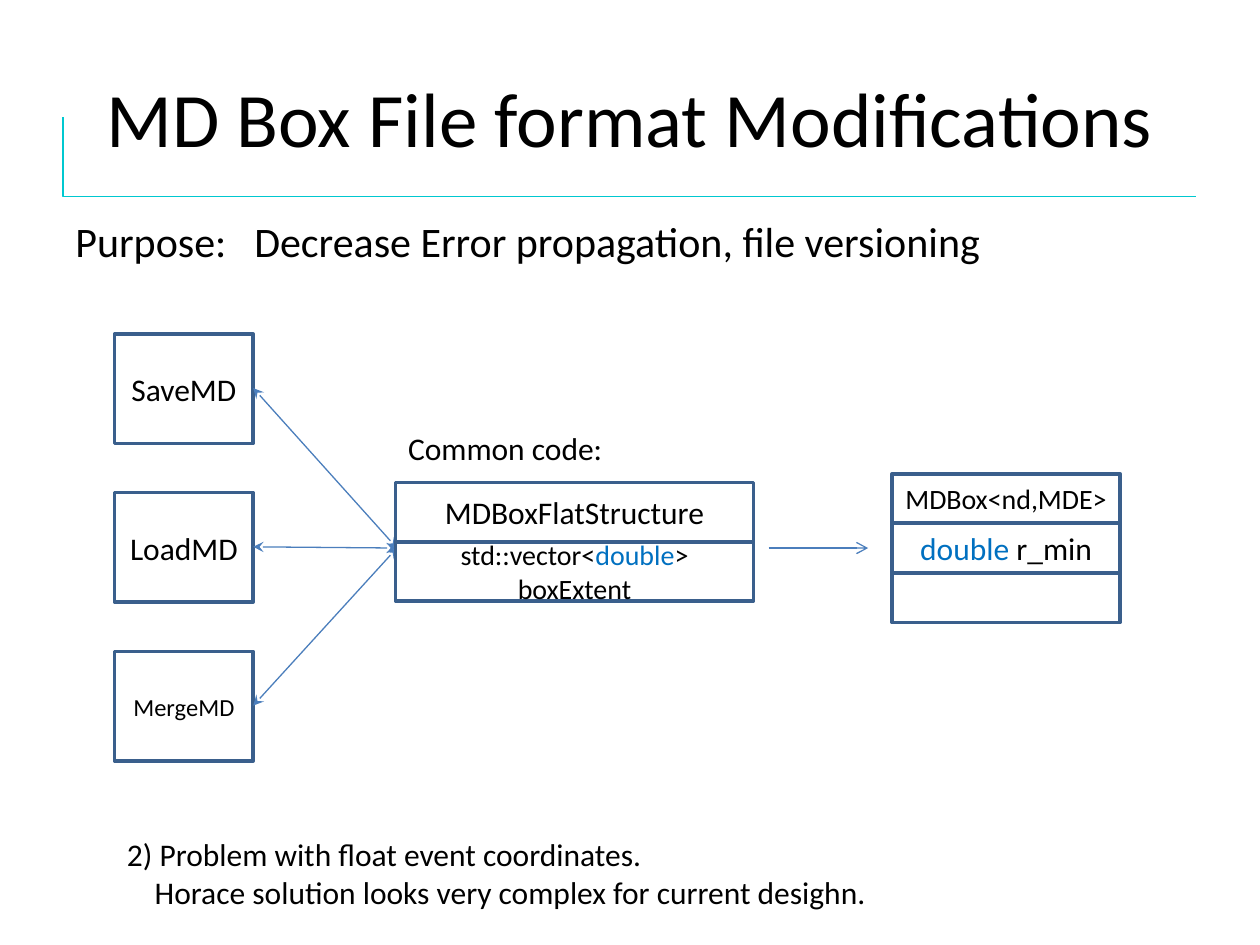
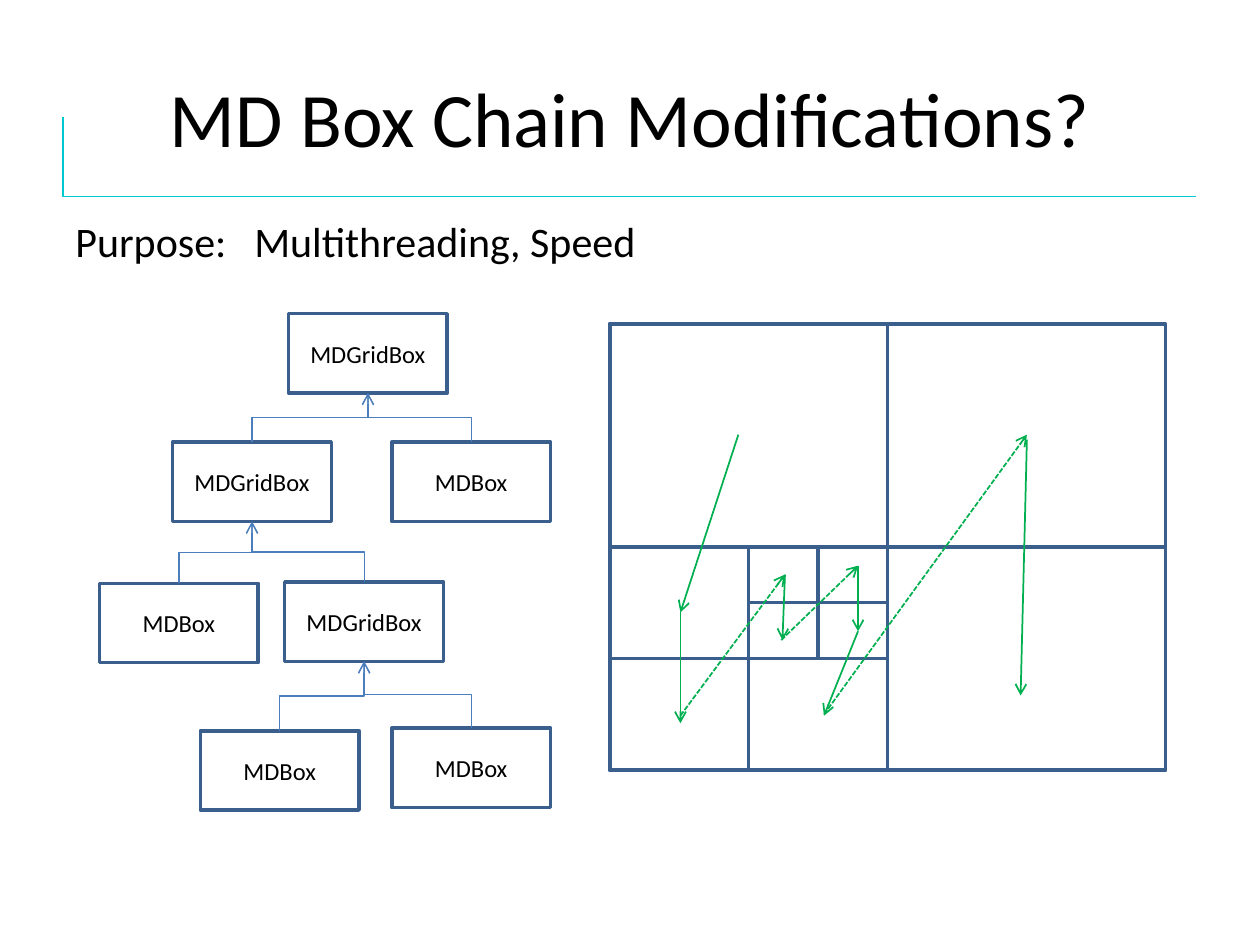
import pptx
import pptx.util
import pptx.dml.color
import pptx.enum.dml
import pptx.enum.shapes
import pptx.enum.text
import pptx.oxml
import pptx.oxml.ns
import lxml.etree

Inches = pptx.util.Inches
Pt = pptx.util.Pt
RGBColor = pptx.dml.color.RGBColor
Kind = pptx.enum.shapes.MSO_CONNECTOR
Align = pptx.enum.text.PP_ALIGN
Anchor = pptx.enum.text.MSO_ANCHOR
qn = pptx.oxml.ns.qn

BLACK = RGBColor(0x00, 0x00, 0x00)
BORDER = RGBColor(0x3A, 0x5F, 0x8C)
LINK = RGBColor(0x4B, 0x7E, 0xBC)
KEYWORD = RGBColor(0x00, 0x70, 0xC0)
TRAIL = RGBColor(0x00, 0xB0, 0x50)
BRACKET = RGBColor(0x00, 0xC8, 0xD0)
FONT = "Calibri"


def add_text(page, area, paragraphs, size, framed=False, centred=True):
    left, top, width, height = (Inches(value) for value in area)
    if framed:
        box = page.shapes.add_shape(
            pptx.enum.shapes.MSO_SHAPE.RECTANGLE, left, top, width, height)
        box.shadow.inherit = False
        box.fill.background()
        box.line.color.rgb = BORDER
        box.line.width = Pt(2)
    else:
        box = page.shapes.add_textbox(left, top, width, height)
    frame = box.text_frame
    frame.word_wrap = centred
    frame.vertical_anchor = Anchor.MIDDLE if centred else Anchor.TOP
    if not centred:
        frame.auto_size = pptx.enum.text.MSO_AUTO_SIZE.SHAPE_TO_FIT_TEXT
    for index, spans in enumerate(paragraphs):
        para = frame.add_paragraph() if index else frame.paragraphs[0]
        para.alignment = Align.CENTER if centred else Align.LEFT
        for words, colour in spans:
            span = para.add_run()
            span.text = words
            span.font.name = FONT
            span.font.size = Pt(size)
            span.font.color.rgb = colour
    return box


def add_line(page, start, end, colour, width, head=None, tail=None, kind=Kind.STRAIGHT):
    line = page.shapes.add_connector(
        kind, *(Inches(value) for value in (*start, *end)))
    line.line.color.rgb = colour
    line.line.width = Pt(width)
    outline = line.line._get_or_add_ln()
    for tag, arrow in (("a:headEnd", head), ("a:tailEnd", tail)):
        if arrow:
            lxml.etree.SubElement(outline, qn(tag)).set("type", arrow)
    lxml.etree.SubElement(line._element.spPr, qn("a:effectLst"))
    return line


deck = pptx.Presentation()
deck.slide_width = Inches(10)
deck.slide_height = Inches(7.5)

pages = []
for title, purpose, purpose_width in (
    ("MD Box File format Modifications", "Decrease Error propagation, file versioning", 7.46),
    ("MD Box Chain Modifications?", "Multithreading, Speed", 4.7),
):
    page = deck.slides.add_slide(deck.slide_layouts[6])
    pages.append(page)
    add_text(page, (0.5, 0.3, 9, 1.25), [[(title, BLACK)]], 44)
    bracket = add_line(page, (0.5, 0.93), (9.49, 1.56), BRACKET, 1, kind=Kind.ELBOW)
    guides = bracket._element.spPr.find(qn("a:prstGeom")).get_or_add_avLst()
    guide = lxml.etree.SubElement(guides, qn("a:gd"))
    guide.set("name", "adj1")
    guide.set("fmla", "val 0")
    box = add_text(page, (0.5, 1.66, purpose_width, 0.5),
                   [[("Purpose:\t" + purpose, BLACK)]], 24, centred=False)
    tabs = lxml.etree.SubElement(
        box.text_frame.paragraphs[0]._p.get_or_add_pPr(), qn("a:tabLst"))
    stop = lxml.etree.SubElement(tabs, qn("a:tab"))
    stop.set("pos", str(Inches(1.42)))
    stop.set("algn", "l")

format_page, chain_page = pages

for row, (name, size) in enumerate((("SaveMD", 18), ("LoadMD", 18), ("MergeMD", 14))):
    add_text(format_page, (0.91, 2.65 + 1.26 * row, 1.1, 0.87),
             [[(name, BLACK)]], size, framed=True)
    add_line(format_page, (2.01, 3.08 + 1.26 * row), (3.15, 4.35),
             LINK, 0.75, "stealth", "stealth")

box_rows = (
    ([("MDBox<nd,MDE>", BLACK)], 16),
    ([("double ", KEYWORD), ("r_min", BLACK)], 18),
    ([], 18),
)
for row, (spans, size) in enumerate(box_rows):
    add_text(format_page, (7.08, 3.76 + 0.395 * row, 1.81, 0.39), [spans], size, framed=True)

structure_rows = (
    ([("MDBoxFlatStructure", BLACK)], 18),
    ([("std::vector<", BLACK), ("double", KEYWORD), ("> boxExtent", BLACK)], 16),
)
for row, (spans, size) in enumerate(structure_rows):
    add_text(format_page, (3.14, 3.83 + 0.47 * row, 2.84, 0.47), [spans], size, framed=True)

add_line(format_page, (6.1, 4.35), (6.89, 4.35), LINK, 0.75, tail="arrow")
add_text(format_page, (3.14, 3.36, 1.76, 0.4), [[("Common code:", BLACK)]], 18, centred=False)
problem = add_text(format_page, (0.91, 6.58, 6.14, 0.71), [
    [("2) Problem with float event coordinates.", BLACK)],
    [("Horace solution looks very complex for current desighn.", BLACK)],
], 18, centred=False)
problem.text_frame.paragraphs[1]._p.get_or_add_pPr().set("marL", str(Inches(0.22)))

NODE_WIDTH, NODE_HEIGHT = 1.26, 0.63
nodes = (
    ("MDGridBox", 2.29, 2.49, None),
    ("MDGridBox", 1.37, 3.51, 0),
    ("MDBox", 3.11, 3.51, 0),
    ("MDBox", 0.79, 4.63, 1),
    ("MDGridBox", 2.26, 4.62, 1),
    ("MDBox", 1.59, 5.8, 4),
    ("MDBox", 3.11, 5.78, 4),
)
for name, left, top, parent in nodes:
    add_text(chain_page, (left, top, NODE_WIDTH, NODE_HEIGHT),
             [[(name, BLACK)]], 14, framed=True)
    if parent is None:
        continue
    parent_left, parent_top = nodes[parent][1:3]
    parent_bottom = parent_top + NODE_HEIGHT
    rise = top - parent_bottom
    run = abs(parent_left - left)
    x = (left + parent_left + NODE_WIDTH - rise) / 2
    y = (top + parent_bottom - run) / 2
    from_left = left < parent_left
    start_x, end_x = (x + rise, x) if from_left else (x, x + rise)
    branch = add_line(chain_page, (start_x, y + run), (end_x, y),
                      LINK, 0.75, tail="arrow", kind=Kind.ELBOW)
    branch._element.spPr.find(qn("a:xfrm")).set("rot", str((90 if from_left else 270) * 60000))

cells = (
    (0, 0, 0),
    (1, 0, 0), (1, 0, 1), (1, 1, 1),
    (2, 0, 2), (2, 0, 3), (2, 1, 3),
    (3, 2, 4), (3, 2, 5), (3, 3, 5),
)
for level, column, row in cells:
    width, height = 4.41 / 2 ** level, 3.54 / 2 ** level
    add_text(chain_page, (4.84 + column * width, 2.57 + row * height, width, height),
             [], 14, framed=True)

steps = (
    ((5.86, 3.45), (5.4, 4.86), False),
    ((5.4, 4.86), (5.4, 5.74), False),
    ((5.4, 5.68), (6.23, 4.56), True),
    ((6.23, 4.56), (6.21, 5.08), False),
    ((6.2, 5.08), (6.81, 4.49), True),
    ((6.81, 4.49), (6.81, 5.01), False),
    ((6.81, 5.01), (6.54, 5.68), False),
    ((6.54, 5.67), (8.15, 3.45), True),
    ((8.15, 3.49), (8.1, 5.52), False),
)
for start, end, dashed in steps:
    step = add_line(chain_page, start, end, TRAIL, 1, tail="arrow")
    if dashed:
        step.line.dash_style = pptx.enum.dml.MSO_LINE.SQUARE_DOT

deck.save("out.pptx")
